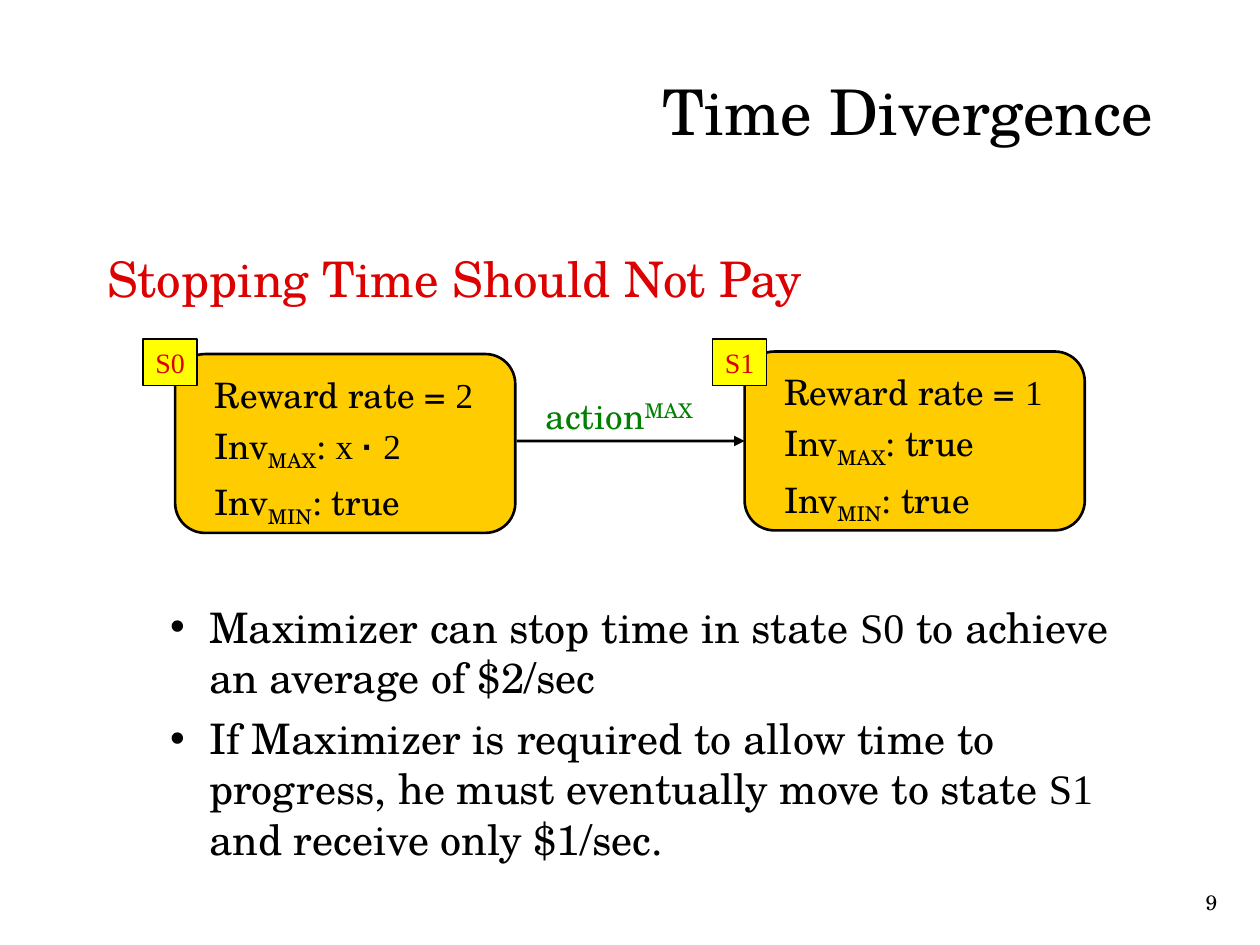
from dataclasses import dataclass

from lxml.etree import SubElement
from pptx import Presentation
from pptx.dml.color import RGBColor
from pptx.enum.shapes import MSO_CONNECTOR, MSO_SHAPE
from pptx.enum.text import MSO_ANCHOR, MSO_AUTO_SIZE, PP_ALIGN
from pptx.oxml.ns import qn
from pptx.util import Inches, Pt

COLORS = {"black": "000000", "red": "DC0000", "green": "008000",
          "gold": "FFCC00", "yellow": "FFFF00"}
SERIF, ROMAN, SANS = "TeX Gyre Schola", "Times New Roman", "Arial"
WIDTH, HEIGHT = Inches(10), Inches(7.5)


@dataclass
class Run:
    text: str
    font: str = SERIF
    bold: bool = False
    baseline: int = 0


@dataclass
class Box:
    """A rectangle in percent of the slide's width and height."""
    left: float
    top: float
    width: float
    height: float

    def emu(self) -> tuple:
        return (int(WIDTH * self.left / 100), int(HEIGHT * self.top / 100),
                int(WIDTH * self.width / 100), int(HEIGHT * self.height / 100))


@dataclass
class State:
    name: str
    left: float
    top: float
    lines: list


def add_runs(p, runs: list, size: float, color: str = "black") -> None:
    for run in runs:
        r = p.add_run()
        r.text = run.text
        r.font.name, r.font.size, r.font.bold = run.font, Pt(size), run.bold
        r.font.color.rgb = RGBColor.from_string(COLORS[color])
        if run.baseline:
            r.font._element.set("baseline", str(run.baseline * 1000))


def fill_text(tf, lines: list, size: float, color: str = "black",
              align=PP_ALIGN.LEFT, before: float = 0) -> None:
    """Write unwrapped paragraphs, each a list of runs."""
    tf.word_wrap = False
    tf.auto_size = MSO_AUTO_SIZE.SHAPE_TO_FIT_TEXT
    tf.vertical_anchor = MSO_ANCHOR.TOP
    for i, runs in enumerate(lines):
        p = tf.add_paragraph() if i else tf.paragraphs[0]
        p.alignment, p.space_before = align, Pt(before)
        add_runs(p, runs, size, color)


def add_block(slide, kind, box: Box, fill: str, line_width: float):
    sp = slide.shapes.add_shape(kind, *box.emu())
    sp.shadow.inherit = False
    sp.fill.solid()
    sp.fill.fore_color.rgb = RGBColor.from_string(COLORS[fill])
    sp.line.color.rgb = RGBColor.from_string(COLORS["black"])
    sp.line.width = Pt(line_width)
    return sp


def add_state(slide, state: State):
    """Draw a state's rounded box, its rates and its name tag."""
    sp = add_block(slide, MSO_SHAPE.ROUNDED_RECTANGLE,
                   Box(state.left, state.top, 27, 18.93), "gold", 1.5)
    text = slide.shapes.add_textbox(
        *Box(state.left + 2.15, state.top + 1.4, 22.7, 17.73).emu())
    fill_text(text.text_frame, state.lines, 20, before=5)
    tag = add_block(slide, MSO_SHAPE.RECTANGLE,
                    Box(state.left - 2.55, 35.87, 4.3, 4.93), "yellow", 0.75)
    tf = tag.text_frame
    fill_text(tf, [[Run(state.name, ROMAN)]], 16, "red", PP_ALIGN.CENTER, 4)
    tf.auto_size = MSO_AUTO_SIZE.NONE
    tf.margin_left = tf.margin_right = 0
    return sp


def add_arrow(slide, start_x: float, y: float, target) -> None:
    """Draw an arrow to the left side of the target."""
    x, y, _, _ = Box(start_x, y, 0, 0).emu()
    line = slide.shapes.add_connector(MSO_CONNECTOR.STRAIGHT, x, y, target.left, y)
    line.end_connect(target, 1)
    line.line.color.rgb = RGBColor.from_string(COLORS["black"])
    line.line.width = Pt(1.5)
    SubElement(line.line._get_or_add_ln(), qn("a:tailEnd"), type="triangle")
    SubElement(line._element.spPr, qn("a:effectLst"))


def set_bullet(p, left: float, hang: float, char: str = "") -> None:
    pPr = p._p.get_or_add_pPr()
    pPr.set("marL", str(Inches(left)))
    pPr.set("indent", str(-Inches(hang)))
    if not char:
        SubElement(pPr, qn("a:buNone"))
        return
    color = SubElement(pPr, qn("a:buClr"))
    SubElement(color, qn("a:srgbClr"), val=COLORS["black"])
    SubElement(pPr, qn("a:buChar"), char=char)


def place(ph, box: Box, anchor):
    ph.left, ph.top, ph.width, ph.height = box.emu()
    tf = ph.text_frame
    tf.word_wrap, tf.auto_size, tf.vertical_anchor = True, MSO_AUTO_SIZE.NONE, anchor
    return tf


def invariant(player: str, *value: Run) -> list:
    return [Run("Inv"), Run(player, baseline=-25), Run(": "), *value]


def reward(rate: str) -> list:
    return [Run("Reward rate = "), Run(rate, ROMAN)]


STATES = [
    State("S0", 13.9, 37.47, [
        reward("2"),
        invariant("MAX", Run("x ", ROMAN), Run("· ", SANS, bold=True), Run("2", ROMAN)),
        invariant("MIN", Run("true"))]),
    State("S1", 59.1, 37.2, [
        reward("1"),
        invariant("MAX", Run("true")),
        invariant("MIN", Run("true"))]),
]
BULLETS = [
    [Run("Maximizer can stop time in state "), Run("S0", ROMAN),
     Run(" to achieve an average of $2/sec")],
    [Run("If Maximizer is required to allow time to progress, "
         "he must eventually move to state "), Run("S1", ROMAN),
     Run(" and receive only $1/sec.")],
]
DIAGRAM_GAP = 168  # points between the heading and the first bullet


def main() -> None:
    prs = Presentation()
    prs.slide_width, prs.slide_height = WIDTH, HEIGHT
    s = prs.slides.add_slide(prs.slide_layouts[1])

    tf = place(s.shapes.title, Box(7.5, 3.33, 85, 16.67), MSO_ANCHOR.MIDDLE)
    tf.paragraphs[0].alignment = PP_ALIGN.RIGHT
    add_runs(tf.paragraphs[0], [Run("Time Divergence")], 36)

    tf = place(s.placeholders[1], Box(7.5, 25.6, 85, 67.73), MSO_ANCHOR.TOP)
    p = tf.paragraphs[0]
    p.space_before = Pt(7)
    set_bullet(p, 0.38, 0.38)
    add_runs(p, [Run("Stopping Time Should Not Pay")], 28, "red")
    for i, runs in enumerate(BULLETS):
        p = tf.add_paragraph()
        p.level = 1
        p.space_before = Pt(6 if i else DIAGRAM_GAP)
        set_bullet(p, 0.81, 0.31, "•")
        add_runs(p, runs, 24)

    _, target = [add_state(s, state) for state in STATES]
    add_arrow(s, 41, 46.67, target)
    label = s.shapes.add_textbox(*Box(42.2, 41.07, 13.9, 5.87).emu())
    fill_text(label.text_frame, [[Run("action"), Run("MAX", baseline=30)]], 20,
              "green", PP_ALIGN.CENTER, 5)

    number = s.shapes.add_textbox(*Box(92.6, 93.47, 5, 3.33).emu())
    number.text_frame.word_wrap = True
    p = number.text_frame.paragraphs[0]
    p.alignment = PP_ALIGN.RIGHT
    add_runs(p, [Run("9")], 12)

    prs.save("out.pptx")


if __name__ == "__main__":
    main()
